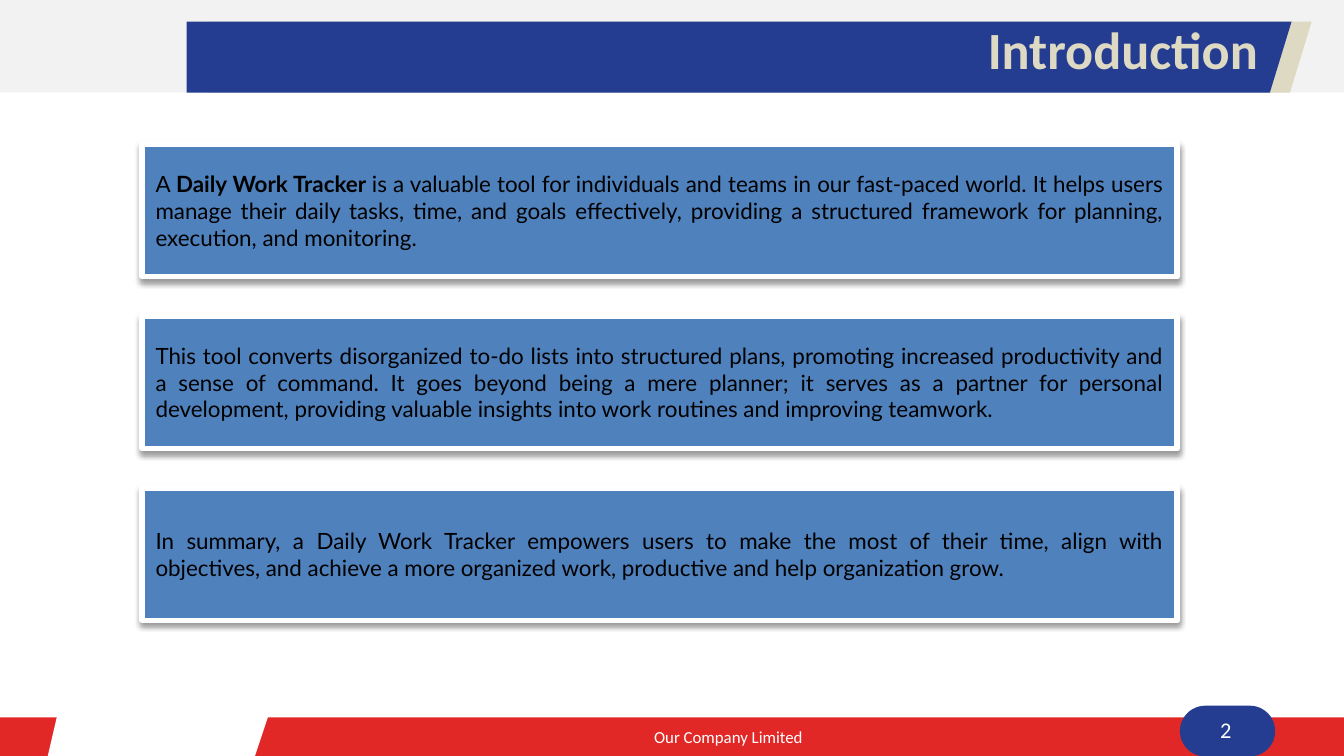
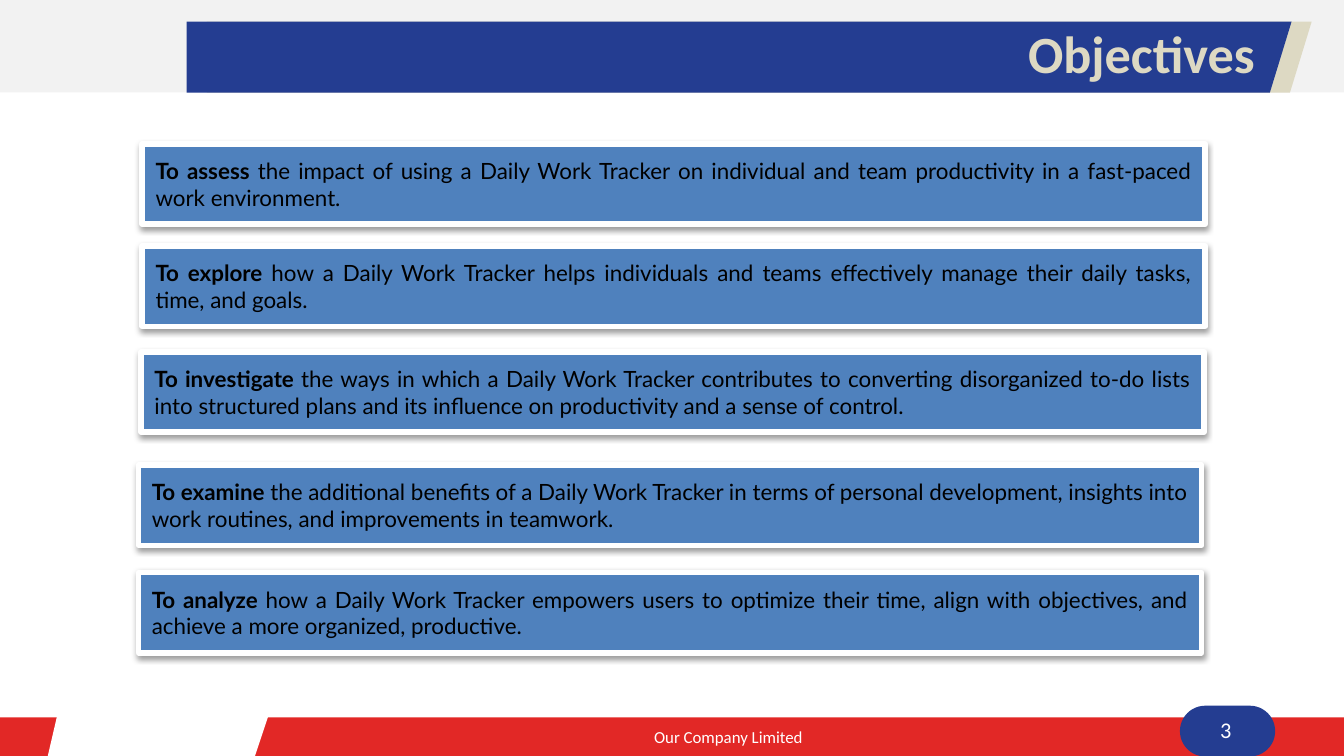
from lxml.etree import SubElement
from pptx import Presentation
from pptx.dml.color import RGBColor
from pptx.enum.shapes import MSO_SHAPE as Preset
from pptx.enum.text import MSO_ANCHOR as Anchor, MSO_AUTO_SIZE as AutoSize, PP_ALIGN as Align
from pptx.oxml.ns import qn
from pptx.util import Cm, Pt

BLUE = RGBColor(0x24, 0x3D, 0x91)
CARD_BLUE = RGBColor(0x4F, 0x81, 0xBD)
RED = RGBColor(0xE2, 0x28, 0x26)
SAND = RGBColor(0xDD, 0xD9, 0xC3)
PALE_GREY = RGBColor(0xF2, 0xF2, 0xF2)
WHITE = RGBColor(0xFF, 0xFF, 0xFF)
BLACK = RGBColor(0, 0, 0)

FRAME_FONT = "Calibri"
CARD_FONT = "Lato"
WIDTH, HEIGHT = 25.4, 14.29
COMPANY = "Our Company Limited"

INTRODUCTION = [
    [("A ", False), ("Daily Work Tracker ", True),
     ("is a valuable tool for individuals and teams in our fast-paced world. It helps users "
      "manage their daily tasks, time, and goals effectively, providing a structured framework "
      "for planning, execution, and monitoring.", False)],
    [("This tool converts disorganized to-do lists into structured plans, promoting increased "
      "productivity and a sense of command. It goes beyond being a mere planner; it serves as a "
      "partner for personal development, providing valuable insights into work routines and "
      "improving teamwork.", False)],
    [("In summary, a Daily Work Tracker empowers users to make the most of their time, align "
      "with objectives, and achieve a more organized work, productive and help organization "
      "grow.", False)],
]

OBJECTIVES = [
    (2.69, 2.72, "To assess ",
     "the impact of using a Daily Work Tracker on individual and team productivity in a "
     "fast-paced work environment."),
    (2.69, 4.65, "To explore ",
     "how a Daily Work Tracker helps individuals and teams effectively manage their daily "
     "tasks, time, and goals."),
    (2.67, 6.65, "To investigate ",
     "the ways in which a Daily Work Tracker contributes to converting disorganized to-do "
     "lists into structured plans and its influence on productivity and a sense of control."),
    (2.62, 8.79, "To examine ",
     "the additional benefits of a Daily Work Tracker in terms of personal development, "
     "insights into work routines, and improvements in teamwork."),
    (2.62, 10.82, "To analyze ",
     "how a Daily Work Tracker empowers users to optimize their time, align with objectives, "
     "and achieve a more organized, productive."),
]


def paint(shape, color):
    shape.shadow.inherit = False
    shape.fill.solid()
    shape.fill.fore_color.rgb = color
    shape.line.fill.background()


def add_block(slide, preset, left, top, width, height, color):
    block = slide.shapes.add_shape(preset, Cm(left), Cm(top), Cm(width), Cm(height))
    paint(block, color)
    return block


def add_outline(slide, corners, color):
    start, *others = [(Cm(x), Cm(y)) for x, y in corners]
    builder = slide.shapes.build_freeform(*start)
    builder.add_line_segments(others, close=True)
    paint(builder.convert_to_shape(), color)


def add_label(slide, left, top, width, height, text, size, color,
              align=Align.CENTER, bold=False, grow=False):
    frame = slide.shapes.add_textbox(Cm(left), Cm(top), Cm(width), Cm(height)).text_frame
    frame.word_wrap = True
    if grow:
        frame.auto_size = AutoSize.SHAPE_TO_FIT_TEXT
    label = frame.paragraphs[0]
    label.text = text
    label.alignment = align
    label.font.name = FRAME_FONT
    label.font.size = Pt(size)
    label.font.bold = bold
    label.font.color.rgb = color


def add_shadow(shape):
    effects = shape._element.spPr.find(qn("a:effectLst"))
    shadow = SubElement(effects, qn("a:outerShdw"), blurRad=str(Pt(3.1)), dist=str(Pt(1.6)),
                        dir="5400000", rotWithShape="0")
    tint = SubElement(shadow, qn("a:srgbClr"), val=str(BLACK))
    SubElement(tint, qn("a:alpha"), val="38000")


def add_card(slide, left, top, width, height, pieces):
    card = add_block(slide, Preset.RECTANGLE, left, top, width, height, CARD_BLUE)
    card.line.color.rgb = WHITE
    card.line.width = Pt(3)
    add_shadow(card)
    card.text_frame.word_wrap = True
    card.text_frame.vertical_anchor = Anchor.MIDDLE
    statement = card.text_frame.paragraphs[0]
    statement.alignment = Align.JUSTIFY
    statement.font.name = CARD_FONT
    statement.font.size = Pt(12)
    statement.font.color.rgb = BLACK
    for text, bold in pieces:
        run = statement.add_run()
        run.text = text
        run.font.bold = bold


def add_ribbon(slide, left, color):
    top, bottom, length, slant = 0.41, 1.75, 20.88, 0.41
    right = left + length
    add_outline(slide, [(left, top), (right, top), (right - slant, bottom), (left, bottom)], color)


def add_framed_slide(deck, number, title, title_left, title_top):
    slide = deck.slides.add_slide(deck.slide_layouts[6])
    add_block(slide, Preset.RECTANGLE, 0, 0, WIDTH, 1.75, PALE_GREY)
    add_ribbon(slide, 3.91, SAND)
    add_ribbon(slide, 3.53, BLUE)
    add_block(slide, Preset.RECTANGLE, 0, 13.56, WIDTH, 0.76, RED)
    pill = add_block(slide, Preset.ROUNDED_RECTANGLE, 22.3, 13.34, 1.8, 0.96, BLUE)
    pill.adjustments[0] = 0.5
    add_outline(slide, [(1.12, 13.36), (5.13, 13.36), (4.8, 14.35), (0.89, 14.35)], WHITE)
    add_label(slide, 5.51, 13.61, 16.51, 0.64, COMPANY, 9, WHITE, grow=True)
    add_label(slide, 22.43, 13.41, 1.47, 0.76, str(number), 12, WHITE)
    add_label(slide, title_left, title_top, 6.53, 1.45, title, 28, SAND,
              align=Align.LEFT, bold=True, grow=True)
    return slide


def main():
    deck = Presentation()
    deck.slide_width, deck.slide_height = Cm(WIDTH), Cm(HEIGHT)

    introduction = add_framed_slide(deck, 2, "Introduction", 18.42, 0.2)
    for row, pieces in enumerate(INTRODUCTION):
        add_card(introduction, 2.69, 2.72 + 3.25 * row, 19.56, 2.51, pieces)

    objectives = add_framed_slide(deck, 3, "Objectives", 19.18, 0.28)
    for left, top, aim, detail in OBJECTIVES:
        add_card(objectives, left, top, 20.09, 1.52, [(aim, True), (detail, False)])

    deck.save("out.pptx")


if __name__ == "__main__":
    main()
